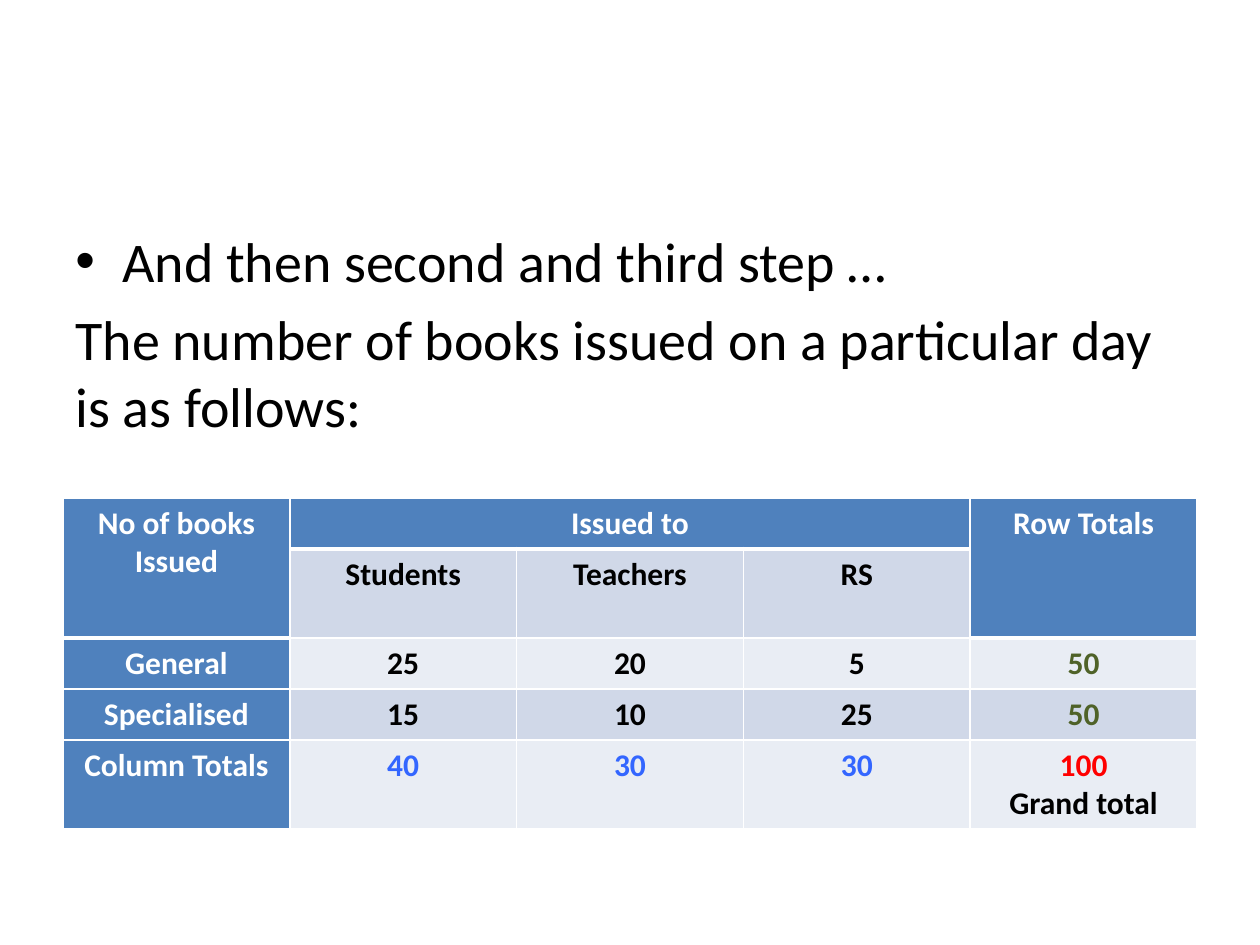
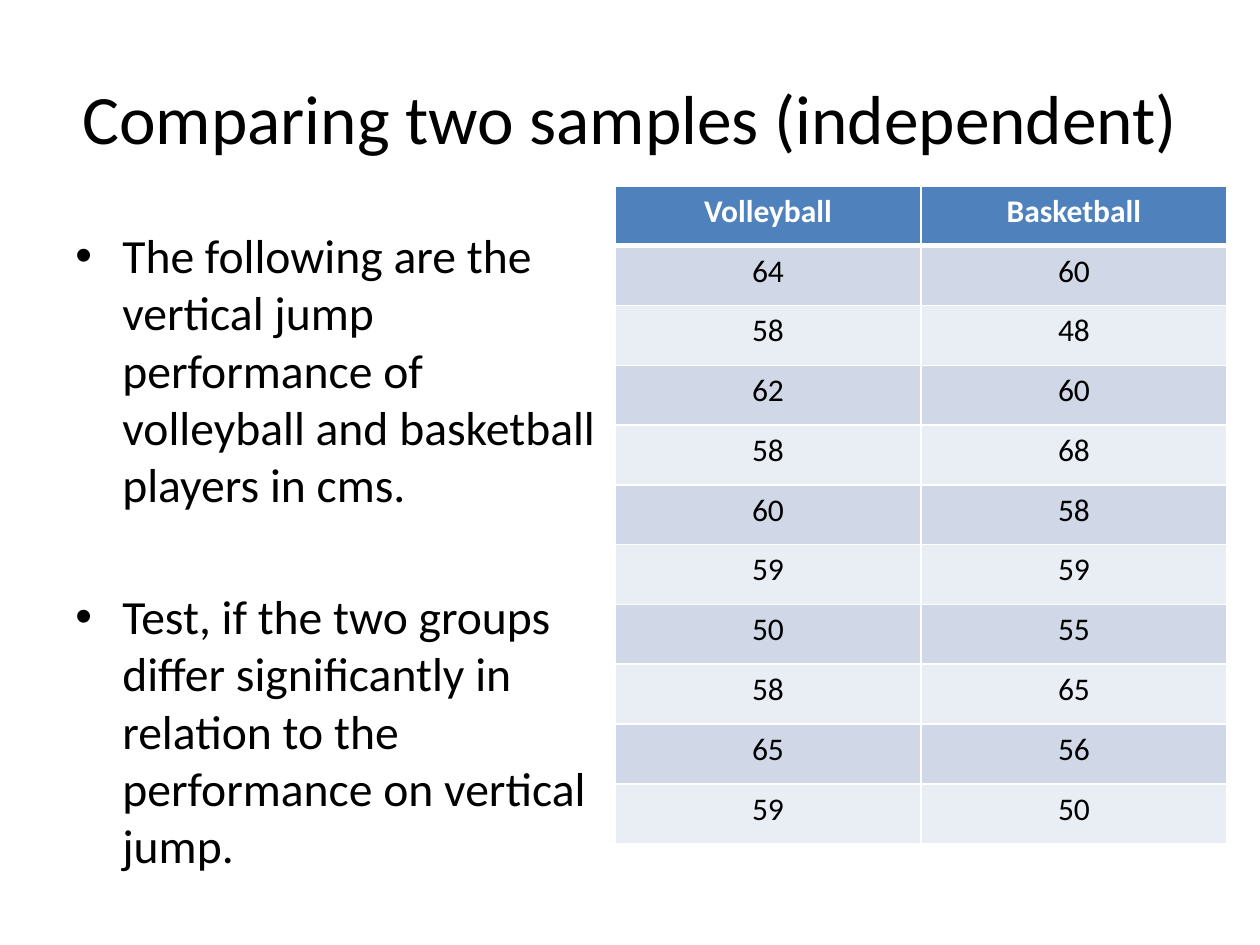
from lxml import etree
from pptx import Presentation
from pptx.dml.color import RGBColor
from pptx.enum.text import MSO_ANCHOR, PP_ALIGN
from pptx.oxml.ns import qn
from pptx.util import Pt

CENTER = PP_ALIGN.CENTER
LEFT = PP_ALIGN.LEFT
MIDDLE = MSO_ANCHOR.MIDDLE
TOP = MSO_ANCHOR.TOP

BLACK = RGBColor(0x00, 0x00, 0x00)
WHITE = RGBColor(0xFF, 0xFF, 0xFF)
HEAD_BLUE = RGBColor(0x4F, 0x81, 0xBD)
BANDS = (RGBColor(0xD0, 0xD8, 0xE8), RGBColor(0xE9, 0xED, 0xF4))
ROW_GREEN = RGBColor(0x4F, 0x62, 0x28)
COLUMN_BLUE = RGBColor(0x33, 0x66, 0xFF)
GRAND_RED = RGBColor(0xFF, 0x00, 0x00)

FONT = "Calibri"
EMU_PER_PX = 914400 / 126
SLIDE_SIZE = (1260, 945)
INDENT = 47

STEPS = [
    ("And then second and third step …", True, 6.4),
    ("The number of books issued on a particular day is as follows:", False, 6.4),
]
JUMP_TASK = [
    ("The following are the vertical jump performance of volleyball "
     "and basketball players in cms.", True, 5.4),
    ("Test, if the two groups differ significantly in relation to the "
     "performance on vertical jump.", True, 43),
]
JUMP_TITLE = [("Comparing two samples (independent)", False, 0)]

BOOKS = {
    "box": (63, 498, 1134),
    "heights": [51, 89, 51, 51, 89],
    "spans": [(0, 0, 1, 0), (0, 1, 0, 3), (0, 4, 1, 4)],
    "bold": True,
    "side_heads": True,
    "rows": [
        ["No of books Issued", "Issued to", "", "", "Row Totals"],
        ["", "Students", "Teachers", "RS", ""],
        ["General", "25", "20", "5", "50"],
        ["Specialised", "15", "10", "25", "50"],
        ["Column Totals", "40", "30", "30", "100\nGrand total"],
    ],
    "colours": {
        (2, 4): [ROW_GREEN], (3, 4): [ROW_GREEN],
        (4, 1): [COLUMN_BLUE], (4, 2): [COLUMN_BLUE], (4, 3): [COLUMN_BLUE],
        (4, 4): [GRAND_RED, BLACK],
    },
}
VOLLEYBALL = [64, 58, 62, 58, 60, 59, 50, 58, 65, 59]
BASKETBALL = [60, 48, 60, 68, 58, 59, 55, 65, 56, 50]
JUMPS = {
    "box": (615, 186, 612),
    "heights": [658 / 11] * 11,
    "spans": [(0, 0, 0, 0), (0, 1, 0, 1)],
    "bold": False,
    "side_heads": False,
    "rows": [["Volleyball", "Basketball"]]
    + [[str(volley), str(basket)] for volley, basket in zip(VOLLEYBALL, BASKETBALL)],
    "colours": {},
}


def px(length):
    return int(length * EMU_PER_PX)


def add_run(paragraph, text, size, colour, bold=False):
    run = paragraph.add_run()
    run.text = text
    run.font.name = FONT
    run.font.size = Pt(size)
    run.font.bold = bold
    run.font.color.rgb = colour


def add_bullet(paragraph):
    properties = paragraph._p.get_or_add_pPr()
    properties.set("marL", str(px(INDENT)))
    properties.set("indent", str(-px(INDENT)))
    etree.SubElement(properties, qn("a:buFont"), typeface="Arial")
    etree.SubElement(properties, qn("a:buChar"), char="•")


def add_text(slide, box, paragraphs, size, align=LEFT, anchor=TOP):
    frame = slide.shapes.add_textbox(*map(px, box)).text_frame
    frame.word_wrap = True
    frame.vertical_anchor = anchor
    for number, (text, bulleted, before) in enumerate(paragraphs):
        paragraph = frame.add_paragraph() if number else frame.paragraphs[0]
        paragraph.alignment = align
        paragraph.space_before = Pt(before)
        if bulleted:
            add_bullet(paragraph)
        add_run(paragraph, text, size, BLACK)


def set_borders(cell, top, bottom):
    properties = cell._tc.get_or_add_tcPr()
    widths = (("a:lnL", 1), ("a:lnR", 1), ("a:lnT", top), ("a:lnB", bottom))
    for place, (side, width) in enumerate(widths):
        line = etree.Element(qn(side), w=str(Pt(width)))
        fill = etree.SubElement(line, qn("a:solidFill"))
        etree.SubElement(fill, qn("a:srgbClr"), val=str(WHITE))
        properties.insert(place, line)


def add_data_table(slide, data):
    rows, heights = data["rows"], data["heights"]
    left, top, width = data["box"]
    columns = len(rows[0])
    box = map(px, (left, top, width, sum(heights)))
    table = slide.shapes.add_table(len(rows), columns, *box).table
    for column in table.columns:
        column.width = px(width / columns)
    for row, height in zip(table.rows, heights):
        row.height = px(height)

    heads = {
        (r, c)
        for first_row, first_col, last_row, last_col in data["spans"]
        for r in range(first_row, last_row + 1)
        for c in range(first_col, last_col + 1)
    }
    for r, texts in enumerate(rows):
        for c, text in enumerate(texts):
            cell = table.cell(r, c)
            is_head = (r, c) in heads
            is_blue = is_head or (data["side_heads"] and c == 0)
            cell.fill.solid()
            cell.fill.fore_color.rgb = HEAD_BLUE if is_blue else BANDS[(r - 1) % 2]
            set_borders(cell, 3 if (r - 1, c) in heads else 1, 3 if is_head else 1)
            lines = text.split("\n") if text else []
            colours = data["colours"].get((r, c), [WHITE if is_blue else BLACK])
            for number, (line, colour) in enumerate(zip(lines, colours)):
                frame = cell.text_frame
                paragraph = frame.add_paragraph() if number else frame.paragraphs[0]
                paragraph.alignment = CENTER
                add_run(paragraph, line, 18, colour, data["bold"] or is_head)
    for first_row, first_col, last_row, last_col in data["spans"]:
        if (first_row, first_col) != (last_row, last_col):
            table.cell(first_row, first_col).merge(table.cell(last_row, last_col))


def main():
    deck = Presentation()
    deck.slide_width, deck.slide_height = map(px, SLIDE_SIZE)
    blank = deck.slide_layouts[6]

    books = deck.slides.add_slide(blank)
    add_text(books, (63, 220, 1134, 624), STEPS, 32)
    add_data_table(books, BOOKS)

    jumps = deck.slides.add_slide(blank)
    add_text(jumps, (63, 38, 1134, 157), JUMP_TITLE, 39.6, CENTER, MIDDLE)
    add_text(jumps, (63, 220, 552, 624), JUMP_TASK, 27.2)
    add_data_table(jumps, JUMPS)

    deck.save("out.pptx")


if __name__ == "__main__":
    main()
